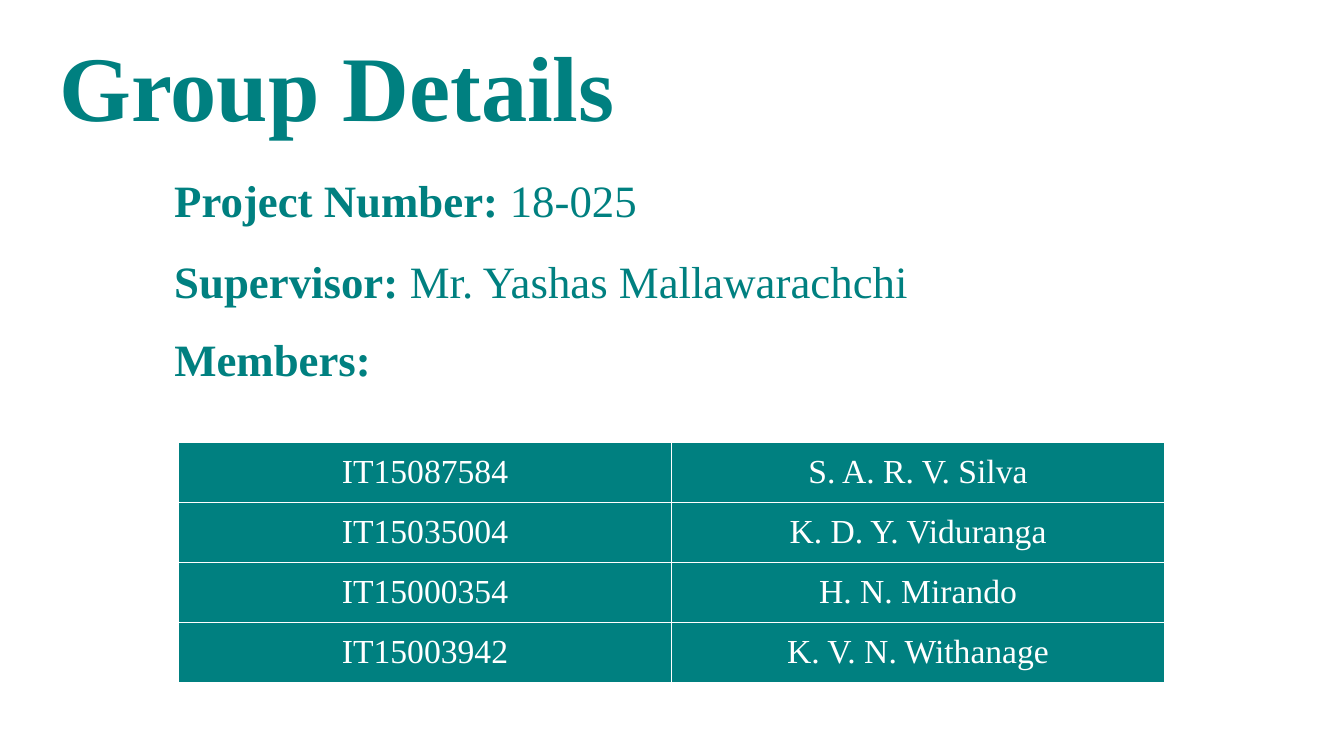
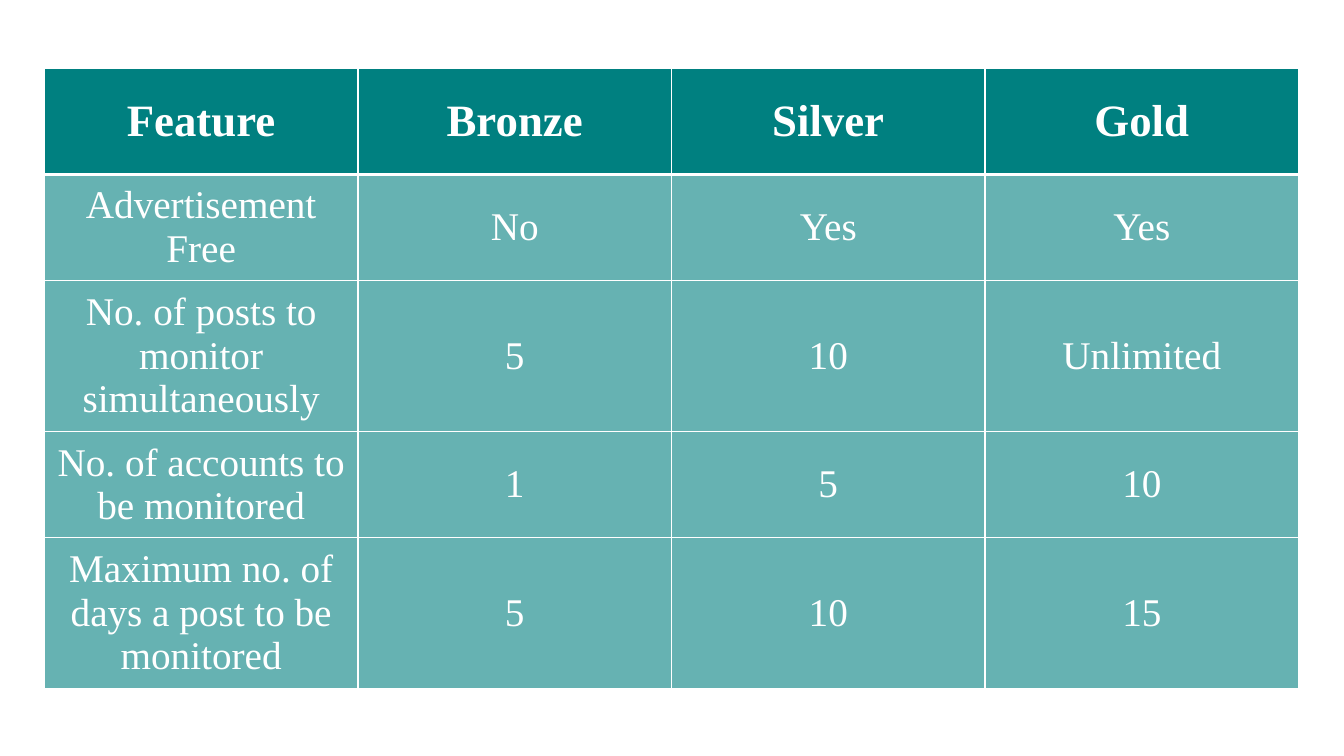
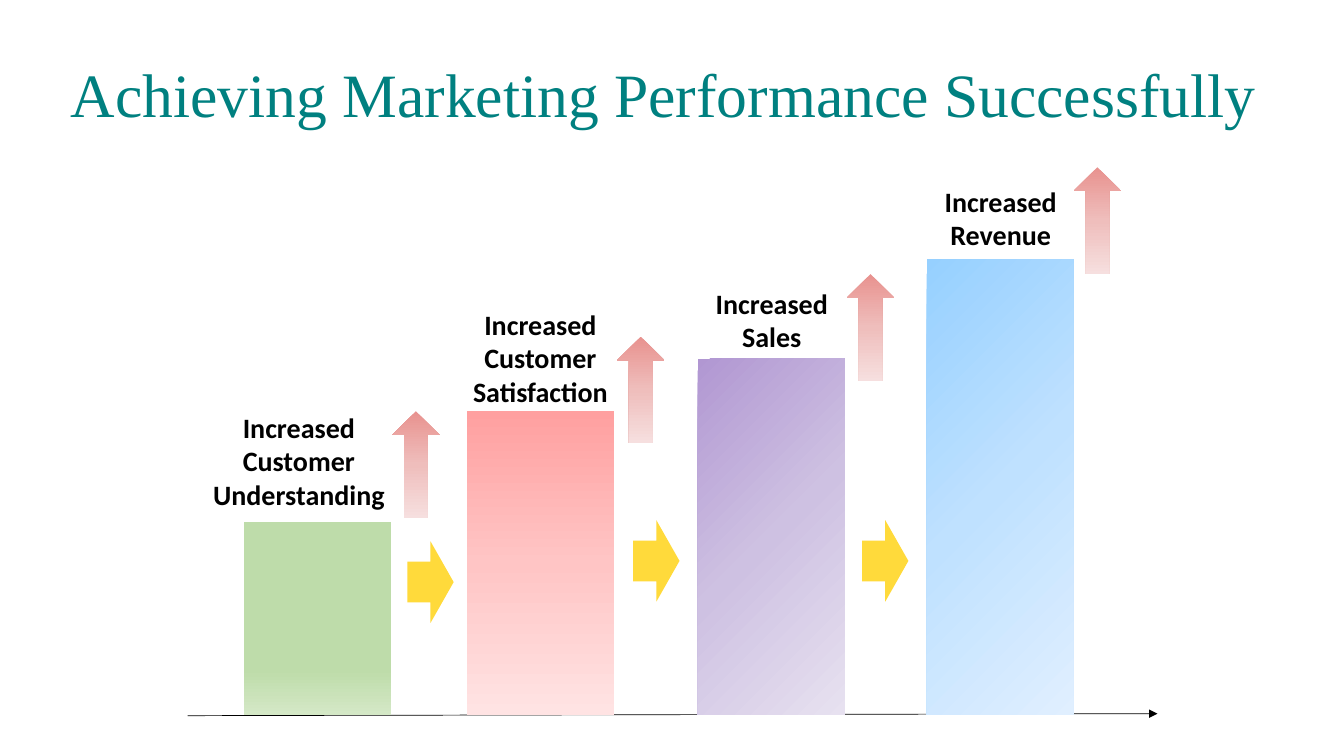
from lxml.etree import SubElement
from pptx import Presentation
from pptx.dml.color import RGBColor
from pptx.enum.shapes import MSO_CONNECTOR as Link, MSO_SHAPE as Kind
from pptx.enum.text import MSO_ANCHOR as Anchor, MSO_AUTO_SIZE as Auto, PP_ALIGN as Align
from pptx.oxml.ns import qn
from pptx.util import Inches, Pt

WIDE, HIGH = 13.33, 7.5
TEAL = RGBColor(0x00, 0x80, 0x80)
PALE = RGBColor(0x66, 0xB2, 0xB2)
WHITE = RGBColor(0xFF, 0xFF, 0xFF)
BLACK = RGBColor(0x00, 0x00, 0x00)
GOLD = RGBColor(0xFF, 0xDA, 0x3B)
SERIF, SANS = "Times New Roman", "Calibri"

FACTS = [
    ("Project Number: ", "18-025", 1.66, 5.56),
    ("Supervisor: ", "Mr. Yashas Mallawarachchi", 2.47, 7.64),
    ("Members:", "", 3.24, 2.15),
]
MEMBERS = [
    ("IT15087584", "S. A. R. V. Silva"),
    ("IT15035004", "K. D. Y. Viduranga"),
    ("IT15000354", "H. N. Mirando"),
    ("IT15003942", "K. V. N. Withanage"),
]
PLANS = [
    ("Feature", "Bronze", "Silver", "Gold"),
    ("Advertisement Free", "No", "Yes", "Yes"),
    ("No. of posts to monitor simultaneously", "5", "10", "Unlimited"),
    ("No. of accounts to be monitored", "1", "5", "10"),
    ("Maximum no. of days a post to be monitored", "5", "10", "15"),
]
BASE, BAR = 7.09, 1.46
RISE = [(0, "E8928F"), (50, "EFBEBC"), (100, "F6DFDF")]
STEPS = [
    dict(text="Increased Customer Understanding", left=2.42, top=5.18, angle=90,
         stops=[(0, "BEDCAA"), (77, "BEDCAA"), (100, "D4E8C6")],
         label=(2, 4.02, 1.93, 1.11), up=(3.89, 4.08), next=(4.04, 5.37)),
    dict(text="Increased Customer Satisfaction", left=4.63, top=4.08, angle=90,
         stops=[(0, "FFA0A0"), (50, "FFC5C5"), (100, "FFE3E3")],
         label=(4.44, 3, 1.84, 1.11), up=(6.12, 3.34), next=(6.28, 5.16)),
    dict(text="Increased Sales", left=6.92, top=3.56, angle=45,
         stops=[(0, "B197D2"), (50, "CEC1E2"), (100, "E7E1F0")],
         label=(6.93, 2.79, 1.45, 0.77), up=(8.4, 2.72), next=(8.55, 5.16)),
    dict(text="Increased Revenue", left=9.19, top=2.57, angle=45,
         stops=[(0, "96D0FF"), (50, "BFE1FF"), (100, "E0EFFF")],
         label=(9.2, 1.78, 1.45, 0.77), up=(10.65, 1.66), next=None),
]


def inch(*sizes):
    return [Inches(size) for size in sizes]


def write(frame, text, size=32, bold=False, color=TEAL, font=SERIF, align=Align.LEFT, plain=""):
    para = frame.paragraphs[0]
    para.alignment = align
    for part, heavy in ((text, bold), (plain, False)):
        if part:
            run = para.add_run()
            run.text = part
            run.font.size, run.font.bold, run.font.name = Pt(size), heavy, font
            run.font.color.rgb = color
    return para


def add_title(slide, text, box, anchor, **look):
    title = slide.shapes.title
    title.left, title.top, title.width, title.height = inch(*box)
    frame = title.text_frame
    frame.word_wrap, frame.auto_size, frame.vertical_anchor = True, Auto.NONE, anchor
    return write(frame, text, **look)


def add_text(slide, text, box, **look):
    frame = slide.shapes.add_textbox(*inch(*box)).text_frame
    frame.word_wrap, frame.auto_size = True, Auto.SHAPE_TO_FIT_TEXT
    write(frame, text, **look)


def edge(cell, top, bottom):
    props = cell._tc.get_or_add_tcPr()
    for spot, (side, width) in enumerate(zip("LRTB", (1, 1, top, bottom))):
        line = SubElement(props, qn(f"a:ln{side}"), w=str(Pt(width)))
        SubElement(SubElement(line, qn("a:solidFill")), qn("a:srgbClr"), val=str(WHITE))
        props.insert(spot, line)


def add_grid(slide, rows, left, top, width, height, size, head=False):
    shape = slide.shapes.add_table(len(rows), len(rows[0]), *inch(left, top, width, height))
    table = shape.table
    table.first_row, table.horz_banding = head, False
    for r, row in enumerate(rows):
        first = head and r == 0
        for c, text in enumerate(row):
            cell = table.cell(r, c)
            cell.vertical_anchor = Anchor.MIDDLE
            cell.fill.solid()
            cell.fill.fore_color.rgb = PALE if head and r else TEAL
            write(cell.text_frame, text, size=32 if first else size, bold=first,
                  color=WHITE, align=Align.CENTER)
            edge(cell, 3 if head and r == 1 else 1, 3 if first else 1)


def add_block(slide, kind, box, stops=None, angle=90):
    shape = slide.shapes.add_shape(kind, *inch(*box))
    shape.shadow.inherit = False
    shape.line.fill.background()
    if not stops:
        shape.fill.solid()
        shape.fill.fore_color.rgb = GOLD
        return
    shape.fill.gradient()
    shape.fill.gradient_angle = 360 - angle
    ramp = shape._element.spPr.find(qn("a:gradFill")).find(qn("a:gsLst"))
    for old in list(ramp):
        ramp.remove(old)
    for spot, color in stops:
        stop = SubElement(ramp, qn("a:gs"), pos=str(spot * 1000))
        SubElement(stop, qn("a:srgbClr"), val=color)


def add_axis(slide):
    axis = slide.shapes.add_connector(Link.STRAIGHT, *inch(1.86, 7.1, 11.48, 7.08))
    axis.line.color.rgb, axis.line.width = BLACK, Pt(0.5)
    SubElement(axis.line._get_or_add_ln(), qn("a:tailEnd"), type="triangle")
    SubElement(axis._element.spPr, qn("a:effectLst"))


def group_slide(slide):
    add_title(slide, "Group Details", (0.49, 0.24, 5.76, 1.21), Anchor.TOP, size=66, bold=True)
    for name, value, top, width in FACTS:
        add_text(slide, name, (1.63, top, width, 0.64), bold=True, plain=value)
    add_grid(slide, MEMBERS, 1.77, 4.39, 9.78, 2.38, 24)


def plan_slide(slide):
    add_grid(slide, PLANS, 0.44, 0.68, 12.44, 5.25, 28, head=True)


def growth_slide(slide):
    para = add_title(slide, "Achieving Marketing Performance Successfully",
                     (0.6, 0.24, 11.99, 1.45), Anchor.MIDDLE, size=44)
    para.line_spacing = 0.9
    add_axis(slide)
    for step in STEPS:
        bar = (step["left"], step["top"], BAR, BASE - step["top"])
        add_block(slide, Kind.RECTANGLE, bar, step["stops"], step["angle"])
        add_block(slide, Kind.UP_ARROW, (*step["up"], 0.47, 1.06), RISE)
        if step["next"]:
            add_block(slide, Kind.RIGHT_ARROW, (*step["next"], 0.46, 0.81))
    for step in STEPS:
        add_text(slide, step["text"], step["label"], size=20, bold=True,
                 color=BLACK, font=SANS, align=Align.CENTER)


def main():
    deck = Presentation()
    deck.slide_width, deck.slide_height = inch(WIDE, HIGH)
    for layout, build in ((5, group_slide), (6, plan_slide), (5, growth_slide)):
        build(deck.slides.add_slide(deck.slide_layouts[layout]))
    deck.save("out.pptx")


if __name__ == "__main__":
    main()
